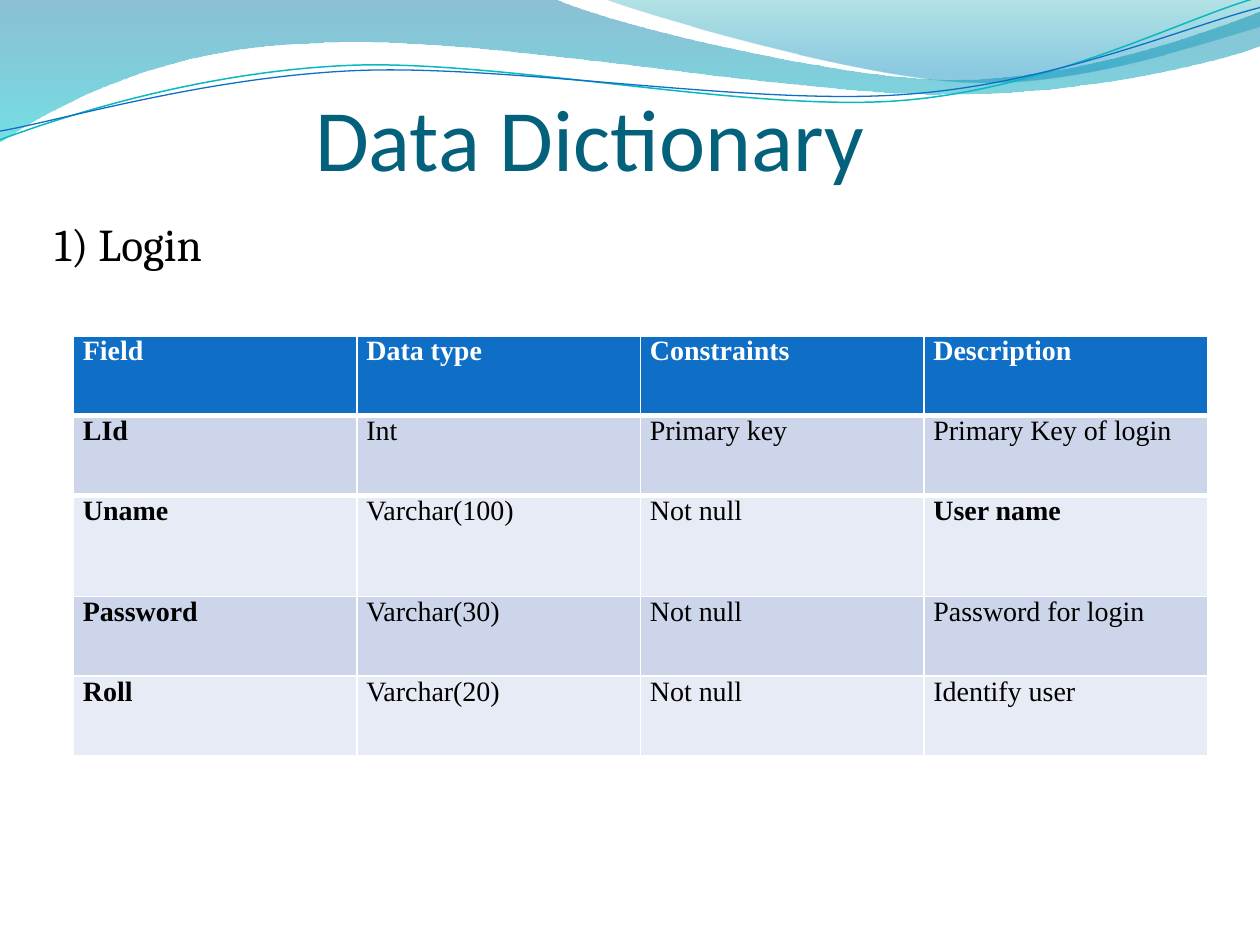
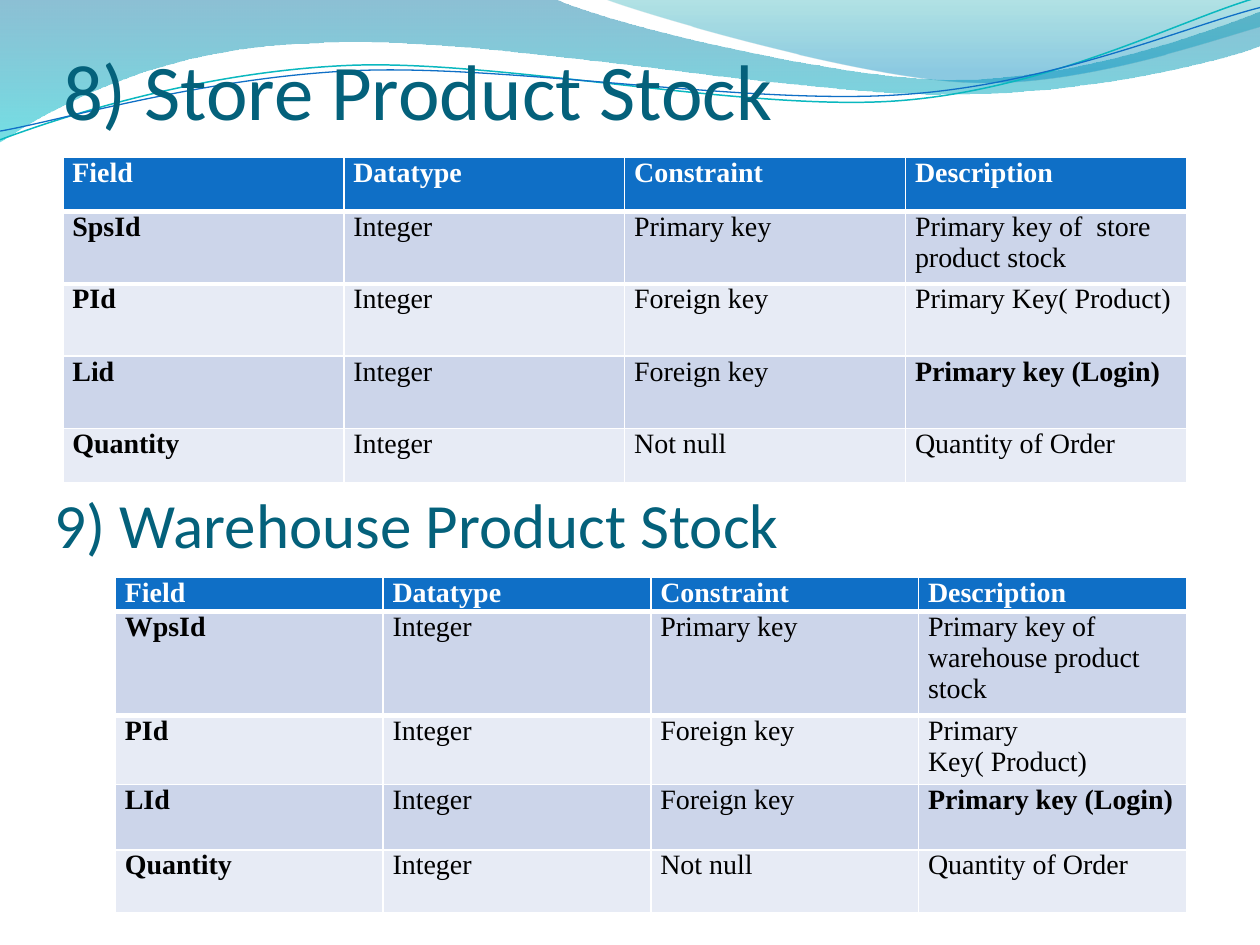
from dataclasses import dataclass
from typing import NamedTuple, Optional

from lxml import etree
from pptx import Presentation
from pptx.dml.color import RGBColor
from pptx.enum.text import MSO_ANCHOR, MSO_AUTO_SIZE, PP_ALIGN
from pptx.oxml.ns import qn
from pptx.util import Pt

BOTTOM, TOP = MSO_ANCHOR.BOTTOM, MSO_ANCHOR.TOP
LEFT_ALIGN = PP_ALIGN.LEFT
NO_AUTOFIT = MSO_AUTO_SIZE.NONE

COLORS = {
    "title": "04617B",
    "text": "000000",
    "header_text": "FFFFFF",
    "border": "FFFFFF",
    "header": "0F6FC6",
    "odd_row": "CCD5EA",
    "even_row": "E7EBF5",
    "deep_blue": "0074A1",
    "aqua": "00C6CF",
    "teal": "00A1A9",
    "sky": "008BBF",
    "teal_line": "0AB8BF",
    "blue_line": "0F6FC6",
}
TITLE_FONT, LIST_FONT, TABLE_FONT = "Calibri", "Cambria", "Times New Roman"
EMPHASISED = {"User name", "Primary key (Login)"}
HEADER_BORDERS = {"lnL": 1, "lnR": 1, "lnT": 1, "lnB": 3}
FIRST_ROW_BORDERS = {"lnT": 3}


class Box(NamedTuple):
    left: float
    top: float
    width: float
    height: float


class Stop(NamedTuple):
    position: float
    color: str
    opacity: int


@dataclass(frozen=True)
class Wave:
    """Segments hold one point for a line, or three for a cubic curve."""
    start: tuple[float, float]
    segments: tuple[tuple[float, ...], ...]
    gradient: Optional[tuple[Stop, Stop]] = None
    line_color: str = ""
    line_width: float = 0


@dataclass(frozen=True)
class FieldTable:
    left: float
    top: float
    column_width: float
    row_heights: tuple[float, ...]
    rows: tuple[tuple[str, ...], ...]
    spaced_rows: tuple[int, ...] = (2, 3)


WAVES = (
    Wave((-0.7, 0), ((316.8, -0.7),
                     (342.7, 12.2, 478, 45.4, 545.8, 45.4),
                     (614.2, 45.4, 689.8, 18.7, 720, 6.5),
                     (720.7, 25.9),
                     (707.8, 31.7, 626.4, 54.7, 537.1, 54),
                     (447.8, 54, 275, 20.2, 185, 24.5),
                     (92.9, 25.9, 33.1, 59.8, -0.7, 81.4)),
         gradient=(Stop(0, "deep_blue", 45), Stop(1, "aqua", 55))),
    Wave((344.9, -0.7), ((366.5, 7.9, 491, 44.6, 553.7, 46.8),
                         (616.3, 49.7, 691.9, 23, 720, 15.1),
                         (720, 0)),
         gradient=(Stop(0, "teal", 30), Stop(0.8, "sky", 45))),
    Wave((0, 79.9), ((34.6, 67, 113.8, 41, 199.4, 37.4),
                     (284.4, 33.8, 427, 64.1, 513.4, 57.6),
                     (599.8, 51.1, 675.4, 10.8, 718.6, -1.4)),
         line_color="teal_line", line_width=0.85),
    Wave((0, 74.9), ((33.8, 69.1, 118.1, 43.9, 203.8, 40.3),
                     (290.2, 36.7, 429.8, 60.5, 516.2, 54),
                     (601.9, 48.2, 677.5, 15.1, 720, 4.3)),
         line_color="blue_line", line_width=0.75),
)

STOCK_HEADER = ("Field", "Datatype", "Constraint", "Description")
QUANTITY_ROW = ("Quantity", "Integer", "Not null", "Quantity of Order")
PRODUCT_ROW = ("PId", "Integer", "Foreign key", "Primary Key( Product)")

LOGIN = FieldTable(42, 192, 162, (45.6, 45.6, 57.6, 45.6, 45.6), (
    ("Field", "Data type", "Constraints", "Description"),
    ("LId", "Int", "Primary key", "Primary Key of login"),
    ("Uname", "Varchar(100)", "Not null", "User name"),
    ("Password", "Varchar(30)", "Not null", "Password for login"),
    ("Roll", "Varchar(20)", "Not null", "Identify user"),
), spaced_rows=(0, 1, 2, 3, 4))
STORE_STOCK = FieldTable(36, 90, 160.5, (31, 41.25, 41.25, 41.25, 31), (
    STOCK_HEADER,
    ("SpsId", "Integer", "Primary key", "Primary key of  store product stock"),
    PRODUCT_ROW,
    ("Lid", "Integer", "Foreign key", "Primary key (Login)"),
    QUANTITY_ROW,
))
WAREHOUSE_STOCK = FieldTable(66, 330, 153, (19.5, 59.25, 39.5, 37.5, 36), (
    STOCK_HEADER,
    ("WpsId", "Integer", "Primary key", "Primary key of  warehouse product stock"),
    PRODUCT_ROW,
    ("LId", "Integer", "Foreign key", "Primary key (Login)"),
    QUANTITY_ROW,
))


def rgb(key: str) -> RGBColor:
    return RGBColor.from_string(COLORS[key])


def write_text(frame, text: str, *, font: str, size: float, color: str,
               bold: bool = False, indent: Optional[float] = None,
               space_after: float = 0) -> None:
    """An indent also clears the placeholder's bullet and hanging line."""
    paragraph = frame.paragraphs[0]
    paragraph.alignment = LEFT_ALIGN
    if indent is not None:
        properties = paragraph._p.get_or_add_pPr()
        properties.set("marL", str(Pt(indent)))
        properties.set("indent", "0")
        etree.SubElement(properties, qn("a:buNone"))
    if space_after:
        paragraph.space_after = Pt(space_after)
    run = paragraph.add_run()
    run.text = text
    run.font.name = font
    run.font.size = Pt(size)
    run.font.bold = bold
    run.font.color.rgb = rgb(color)


def place(shape, box: Box, anchor) -> None:
    shape.left, shape.top, shape.width, shape.height = map(Pt, box)
    frame = shape.text_frame
    frame.word_wrap = True
    frame.auto_size = NO_AUTOFIT
    frame.vertical_anchor = anchor


def add_title(slide, text: str, box: Box, size: float, indent: float = 0) -> None:
    title = slide.shapes.title
    place(title, box, BOTTOM)
    frame = title.text_frame
    frame.margin_left = frame.margin_right = frame.margin_bottom = 0
    write_text(frame, text, font=TITLE_FONT, size=size, color="title", indent=indent)


def add_subheading(slide, text: str, box: Box, font: str, size: float, color: str) -> None:
    body = slide.placeholders[1]
    place(body, box, TOP)
    write_text(body.text_frame, text, font=font, size=size, color=color, indent=0)


def bend_curves(shape, wave: Wave) -> None:
    """Join each three line steps of a curved segment into one cubic curve."""
    steps = iter(list(shape.element.iter(qn("a:lnTo"))))
    for segment in wave.segments:
        first = next(steps)
        if len(segment) == 6:
            curve = etree.Element(qn("a:cubicBezTo"))
            first.addprevious(curve)
            for step in (first, next(steps), next(steps)):
                curve.append(step[0])
                step.getparent().remove(step)


def fill_gradient(shape, stops: tuple[Stop, Stop]) -> None:
    shape.fill.gradient()
    shape.fill.gradient_angle = 270
    for target, stop in zip(shape.fill.gradient_stops, stops):
        target.position = stop.position
        target.color.rgb = rgb(stop.color)
    for color, stop in zip(shape.element.iter(qn("a:srgbClr")), stops):
        etree.SubElement(color, qn("a:alpha")).set("val", str(stop.opacity * 1000))


def add_waves(layout, slide) -> None:
    """Build the waves on the slide, then move them to its layout."""
    for index, wave in enumerate(WAVES):
        points = [(Pt(x), Pt(y)) for segment in wave.segments
                  for x, y in zip(segment[::2], segment[1::2])]
        builder = slide.shapes.build_freeform(*map(Pt, wave.start))
        builder.add_line_segments(points, close=wave.gradient is not None)
        shape = builder.convert_to_shape()
        bend_curves(shape, wave)
        shape.shadow.inherit = False
        if wave.gradient:
            fill_gradient(shape, wave.gradient)
            shape.line.fill.background()
        else:
            shape.fill.background()
            shape.line.color.rgb = rgb(wave.line_color)
            shape.line.width = Pt(wave.line_width)
        shape.element.nvSpPr.cNvPr.set("id", str(100 + index))
        layout.shapes.element.insert(2 + index, shape.element)


def set_borders(cell, widths: dict[str, float]) -> None:
    properties = cell._tc.get_or_add_tcPr()
    for index, (side, width) in enumerate(widths.items()):
        line = etree.Element(qn(f"a:{side}"), w=str(Pt(width)))
        fill = etree.SubElement(line, qn("a:solidFill"))
        etree.SubElement(fill, qn("a:srgbClr"), val=COLORS["border"])
        properties.insert(index, line)


def add_field_table(slide, spec: FieldTable) -> None:
    columns = len(spec.rows[0])
    table = slide.shapes.add_table(
        len(spec.rows), columns, Pt(spec.left), Pt(spec.top),
        Pt(spec.column_width * columns), Pt(sum(spec.row_heights))).table
    for column in table.columns:
        column.width = Pt(spec.column_width)
    for r, (height, values) in enumerate(zip(spec.row_heights, spec.rows)):
        table.rows[r].height = Pt(height)
        fill = "header" if r == 0 else "odd_row" if r % 2 else "even_row"
        for c, value in enumerate(values):
            cell = table.cell(r, c)
            cell.fill.solid()
            cell.fill.fore_color.rgb = rgb(fill)
            cell.margin_left = cell.margin_right = Pt(5.4)
            cell.margin_top = cell.margin_bottom = 0
            if r < 2:
                set_borders(cell, FIRST_ROW_BORDERS if r else HEADER_BORDERS)
            write_text(cell.text_frame, value, font=TABLE_FONT, size=16,
                       color="text" if r else "header_text",
                       bold=r == 0 or c == 0 or value in EMPHASISED,
                       space_after=10 if r in spec.spaced_rows else 0)


def main() -> None:
    deck = Presentation()
    deck.slide_width, deck.slide_height = Pt(720), Pt(540)
    layout = deck.slide_layouts[1]

    login = deck.slides.add_slide(layout)
    add_waves(layout, login)
    add_title(login, "Data Dictionary", Box(36, 36, 648, 72), 50, indent=144)
    add_subheading(login, "1) Login", Box(24, 120, 660, 378), LIST_FONT, 26, "text")
    add_field_table(login, LOGIN)

    stock = deck.slides.add_slide(layout)
    add_title(stock, "8) Store Product Stock", Box(36, 18, 648, 60), 45)
    add_subheading(stock, "9) Warehouse Product Stock", Box(24, 274, 660, 54),
                   TITLE_FONT, 36, "title")
    add_field_table(stock, STORE_STOCK)
    add_field_table(stock, WAREHOUSE_STOCK)

    deck.save("out.pptx")


if __name__ == "__main__":
    main()
